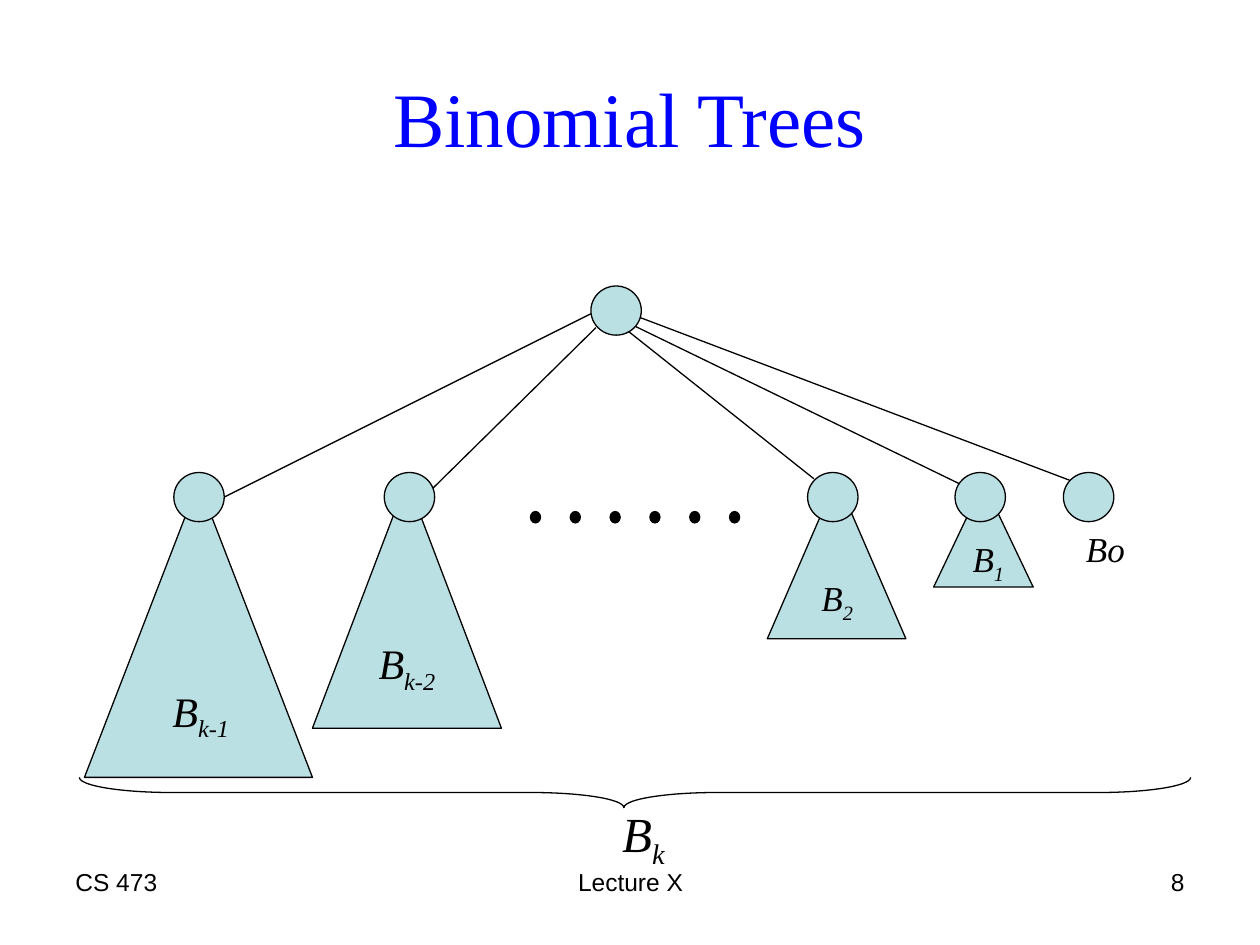
from pptx import Presentation
from pptx.dml.color import RGBColor
from pptx.enum.shapes import MSO_CONNECTOR, MSO_SHAPE
from pptx.enum.text import MSO_ANCHOR, PP_ALIGN
from pptx.oxml.ns import qn
from pptx.util import Inches, Pt
from lxml import etree

BLACK = RGBColor(0x00, 0x00, 0x00)
BLUE = RGBColor(0x00, 0x00, 0xFF)
AQUA = RGBColor(0xBB, 0xE0, 0xE3)
SERIF, SANS = "Times New Roman", "Arial"
LEFT, MID, RIGHT = PP_ALIGN.LEFT, PP_ALIGN.CENTER, PP_ALIGN.RIGHT
OVAL, CONE, BRACE = MSO_SHAPE.OVAL, MSO_SHAPE.ISOSCELES_TRIANGLE, MSO_SHAPE.LEFT_BRACE
LINE, CENTER = MSO_CONNECTOR.STRAIGHT, MSO_ANCHOR.MIDDLE

EDGES = [
    (5, 2.57, 7.76, 3.91),
    (1.77, 3.95, 4.69, 2.49),
    (3.4, 3.91, 4.73, 2.6),
    (6.46, 3.8, 4.95, 2.6),
    (5, 2.49, 8.67, 3.88),
]
NODES = [(x, 3.75) for x in (1.38, 3.05, 6.41, 7.58, 8.44)] + [(4.69, 2.27)]
TREES = [(6.09, 3.8, 1.1, 1.27), (7.41, 3.83, 0.79, 0.83), (0.67, 3.83, 1.81, 2.34)]
LABELS = [
    ((1.27, 5.39, 0.65, 0.56), "B", "k-1", 24),
    ((6.42, 4.53, 0.45, 0.48), "B", "2", 20),
    ((7.62, 4.22, 0.45, 0.48), "B", "1", 20),
    ((8.52, 4.14, 0.51, 0.44), "Bo", "", 20),
    ((4.84, 6.33, 0.87, 0.63), "B", "k", 28),
]
FOOTS = [
    ((0.5, 6.83, 2.33, 0.52), "CS 473", LEFT),
    ((3.42, 6.83, 3.17, 0.52), "Lecture X", MID),
    ((7.17, 6.83, 2.33, 0.52), "8", RIGHT),
]


class Board:
    """Draws styled elements on one slide."""

    def __init__(self, slide):
        self.slide = slide
        self.shapes = slide.shapes

    def style(self, para, size, face=SERIF, color=BLACK, align=LEFT, slant=False):
        para.alignment = align
        font = para.font
        font.size, font.name, font.italic = Pt(size), face, slant
        font.color.rgb = color

    def title(self, text, box):
        shape = self.shapes.title
        shape.left, shape.top, shape.width, shape.height = map(Inches, box)
        shape.text_frame.text = text
        shape.text_frame.vertical_anchor = CENTER
        self.style(shape.text_frame.paragraphs[0], 44, color=BLUE, align=MID)

    def foot(self, box, text, align):
        frame = self.shapes.add_textbox(*map(Inches, box)).text_frame
        frame.word_wrap = True
        frame.text = text
        self.style(frame.paragraphs[0], 14, SANS, align=align)

    def name(self, frame, base, sub, size, align=LEFT):
        frame.word_wrap = False
        para = frame.paragraphs[0]
        self.style(para, size, align=align, slant=True)
        para.add_run().text = base
        if sub:
            run = para.add_run()
            run.text = sub
            run._r.get_or_add_rPr().set("baseline", "-25000")

    def label(self, box, base, sub, size):
        frame = self.shapes.add_textbox(*map(Inches, box)).text_frame
        self.name(frame, base, sub, size)

    def shape(self, kind, box, fill=AQUA):
        shape = self.shapes.add_shape(kind, *map(Inches, box))
        shape.shadow.inherit = False
        if fill is None:
            shape.fill.background()
        else:
            shape.fill.solid()
            shape.fill.fore_color.rgb = fill
        shape.line.color.rgb = BLACK
        shape.line.width = Pt(0.75)
        return shape

    def edge(self, ends):
        edge = self.shapes.add_connector(LINE, *map(Inches, ends))
        edge.line.color.rgb = BLACK
        edge.line.width = Pt(0.75)
        etree.SubElement(edge._element.spPr, qn("a:effectLst"))

    def brace(self, box):
        brace = self.shape(BRACE, box, None)
        brace.rotation = 270
        brace.adjustments[0] = 3.06
        brace.adjustments[1] = 0.49


def main():
    deck = Presentation()
    deck.slide_width, deck.slide_height = Inches(10), Inches(7.5)
    board = Board(deck.slides.add_slide(deck.slide_layouts[5]))
    board.title("Binomial Trees", (0.5, 0.3, 9, 1.25))
    for foot in FOOTS:
        board.foot(*foot)
    for ends in EDGES:
        board.edge(ends)
    for box in TREES:
        board.shape(CONE, box)
    tree = board.shape(CONE, (2.48, 3.81, 1.5, 1.97))
    tree.text_frame.vertical_anchor = CENTER
    board.name(tree.text_frame, "B", "k-2", 24, MID)
    for i in range(6):
        board.shape(OVAL, (4.21 + i * 0.316, 4.06, 0.08, 0.09), BLACK)
    board.brace((4.92, 1.88, 0.24, 8.82))
    for label in LABELS:
        board.label(*label)
    for x, y in NODES:
        board.shape(OVAL, (x, y, 0.4, 0.39))
    deck.save("out.pptx")


if __name__ == "__main__":
    main()
